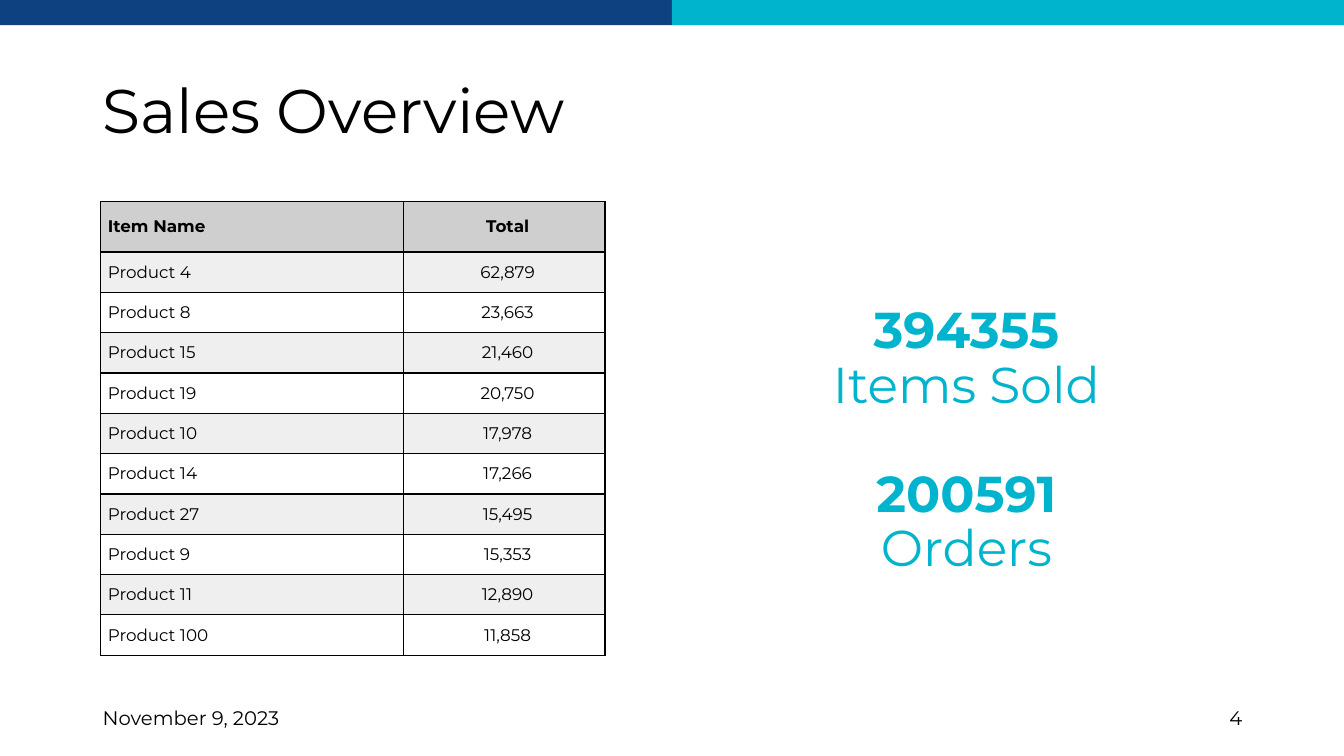
from lxml import etree
from pptx import Presentation
from pptx.dml.color import RGBColor
from pptx.enum.shapes import MSO_SHAPE
from pptx.enum.text import MSO_ANCHOR, PP_ALIGN
from pptx.oxml.ns import qn
from pptx.util import Inches, Pt

RECT = MSO_SHAPE.RECTANGLE
TOP, MIDDLE = MSO_ANCHOR.TOP, MSO_ANCHOR.MIDDLE
LEFT, CENTER, RIGHT = PP_ALIGN.LEFT, PP_ALIGN.CENTER, PP_ALIGN.RIGHT

FONT = "Montserrat"
BLACK, NAVY, CYAN = "000000", "0E4180", "00B4CE"
HEAD, BAND, WHITE = "CFCFCF", "EFEFEF", "FFFFFF"

SALES = [
    ("Item Name", "Total"),
    ("Product 4", "62,879"),
    ("Product 8", "23,663"),
    ("Product 15", "21,460"),
    ("Product 19", "20,750"),
    ("Product 10", "17,978"),
    ("Product 14", "17,266"),
    ("Product 27", "15,495"),
    ("Product 9", "15,353"),
    ("Product 11", "12,890"),
    ("Product 100", "11,858"),
]
WIDTHS = (3, 2)
FIGURES = [("394355", "Items Sold"), ("200591", "Orders")]


def paint(fill, color):
    fill.solid()
    fill.fore_color.rgb = RGBColor.from_string(color)


def add_run(para, text, size=12, color=BLACK, bold=False):
    run = para.add_run()
    run.text = text
    font = run.font
    font.name, font.size, font.bold = FONT, Pt(size), bold
    font.color.rgb = RGBColor.from_string(color)


def set_para(para, align=LEFT, line=None, before=0, after=0):
    para.alignment = align
    para.line_spacing = line
    para.space_before, para.space_after = Pt(before), Pt(after)


def add_box(slide, left, top, width, height, anchor=TOP):
    box = slide.shapes.add_textbox(
        Inches(left), Inches(top), Inches(width), Inches(height))
    frame = box.text_frame
    frame.word_wrap = True
    frame.vertical_anchor = anchor
    return frame


def add_text(slide, text, left, top, width, height, size=14,
             align=LEFT, anchor=TOP, line=None):
    para = add_box(slide, left, top, width, height, anchor).paragraphs[0]
    set_para(para, align, line)
    add_run(para, text, size)


def add_bar(slide, left, width, color):
    bar = slide.shapes.add_shape(
        RECT, Inches(left), 0, Inches(width), Inches(0.25))
    bar.shadow.inherit = False
    paint(bar.fill, color)
    bar.line.fill.background()


def add_edges(cell):
    props = cell._tc.get_or_add_tcPr()
    for spot, side in enumerate(("lnL", "lnR", "lnT", "lnB")):
        edge = etree.Element(qn(f"a:{side}"), w=str(Pt(1)))
        fill = etree.SubElement(edge, qn("a:solidFill"))
        etree.SubElement(fill, qn("a:srgbClr"), val=BLACK)
        props.insert(spot, edge)


def fill_cell(cell, text, align, color, bold):
    cell.margin_left = Inches(0.07)
    cell.margin_right = cell.margin_top = cell.margin_bottom = 0
    cell.vertical_anchor = MIDDLE
    paint(cell.fill, color)
    add_edges(cell)
    para = cell.text_frame.paragraphs[0]
    set_para(para, align, before=5, after=5)
    add_run(para, text, bold=bold)


def add_sales(slide):
    table = slide.shapes.add_table(
        len(SALES), len(WIDTHS), Inches(1), Inches(2),
        Inches(sum(WIDTHS)), Inches(4.5)).table
    for col, width in zip(table.columns, WIDTHS):
        col.width = Inches(width)
    for i, texts in enumerate(SALES):
        head = i == 0
        table.rows[i].height = Inches(0.5 if head else 0.4)
        color = HEAD if head else BAND if i % 2 else WHITE
        for j, (text, align) in enumerate(zip(texts, (LEFT, CENTER))):
            fill_cell(table.cell(i, j), text, align, color, head)


def add_figures(slide):
    frame = add_box(slide, 6.75, 2, 5.67, 4.76, MIDDLE)
    for i, (value, label) in enumerate(FIGURES):
        para = frame.add_paragraph() if i else frame.paragraphs[0]
        set_para(para, CENTER, 0.9, before=39 if i else 0)
        add_run(para, value, 36, CYAN, True)
        para.add_line_break()
        add_run(para, label, 36, CYAN)


def main():
    prs = Presentation()
    prs.slide_width, prs.slide_height = Inches(13.33), Inches(7.5)
    slide = prs.slides.add_slide(prs.slide_layouts[6])

    # Footer
    add_text(slide, "November 9, 2023", 0.92, 6.95, 3, 0.34)
    add_text(slide, "4", 9.42, 6.95, 3, 0.34, align=RIGHT)

    # Top band
    half = 13.33 / 2
    add_bar(slide, 0, half, NAVY)
    add_bar(slide, half, half, CYAN)

    # Title, table and key figures
    add_text(slide, "Sales Overview", 0.92, 0.4, 11.5, 1.45,
             size=44, anchor=MIDDLE, line=0.9)
    add_sales(slide)
    add_figures(slide)

    prs.save("out.pptx")


if __name__ == "__main__":
    main()
